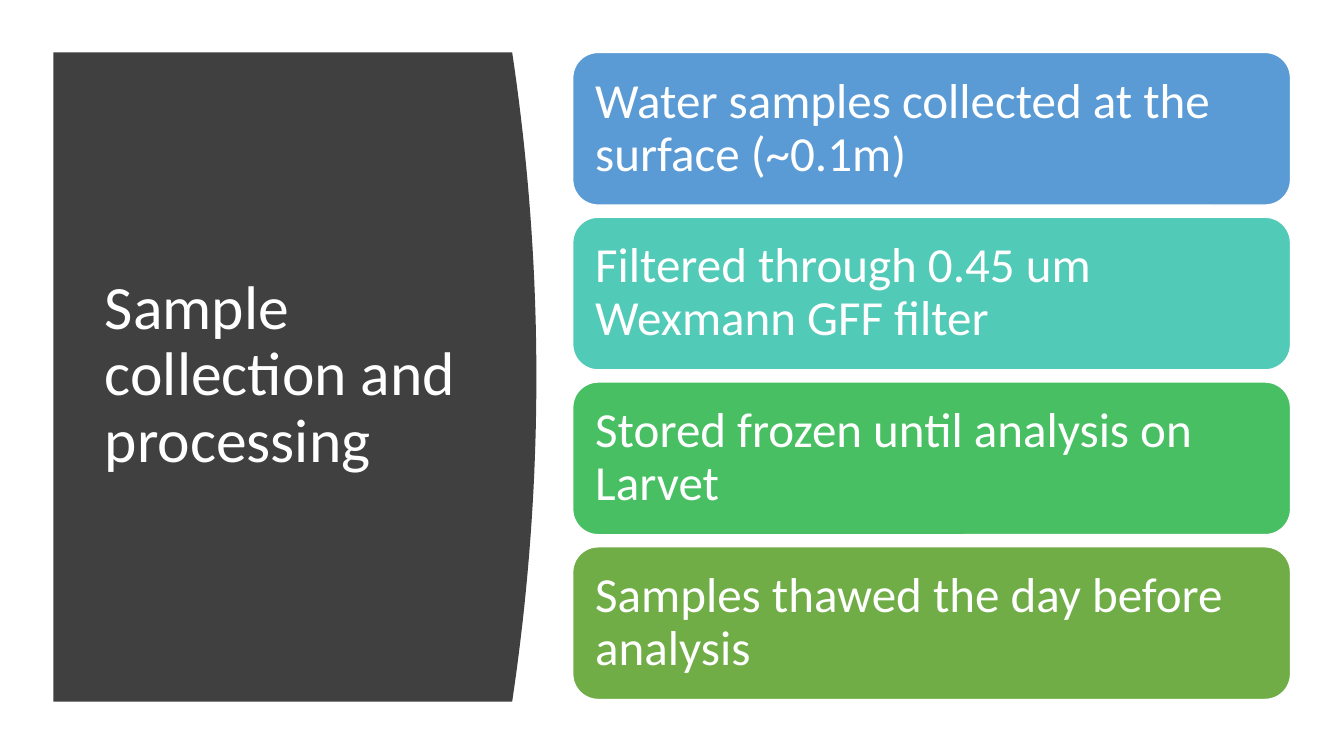
from pptx import Presentation
from pptx.dml.color import RGBColor
from pptx.enum.shapes import MSO_SHAPE
from pptx.enum.text import MSO_ANCHOR, MSO_AUTO_SIZE, PP_ALIGN
from pptx.util import Inches, Pt

ROUNDED = MSO_SHAPE.ROUNDED_RECTANGLE
MIDDLE = MSO_ANCHOR.MIDDLE
NO_AUTOFIT = MSO_AUTO_SIZE.NONE
LEFT = PP_ALIGN.LEFT

WHITE = RGBColor(0xFF, 0xFF, 0xFF)
CHARCOAL = RGBColor(0x40, 0x40, 0x40)
BLUE = RGBColor(0x5B, 0x9B, 0xD5)
TEAL = RGBColor(0x52, 0xCA, 0xB8)
GREEN = RGBColor(0x49, 0xBF, 0x64)
OLIVE = RGBColor(0x70, 0xAD, 0x47)

TITLE = "Sample collection and processing"
STEPS = [
    ("Water samples collected at the surface (~0.1m)", BLUE),
    ("Filtered through 0.45 um Wexmann GFF filter", TEAL),
    ("Stored frozen until analysis on Larvet", GREEN),
    ("Samples thawed the day before analysis", OLIVE),
]
TITLE_FONT = {"name": "Calibri", "size": Pt(44)}
STEP_FONT = {"name": "Calibri", "size": Pt(35)}


def write_text(shape, text, font, inset_x, inset_y):
    """Fill a shape with one left-aligned, vertically centred white paragraph."""
    frame = shape.text_frame
    frame.text = text
    frame_format = {
        "auto_size": NO_AUTOFIT, "word_wrap": True, "vertical_anchor": MIDDLE,
        "margin_left": Inches(inset_x), "margin_right": Inches(inset_x),
        "margin_top": Inches(inset_y), "margin_bottom": Inches(inset_y),
    }
    for name, value in frame_format.items():
        setattr(frame, name, value)
    para = frame.paragraphs[0]
    para.alignment = LEFT
    para.line_spacing = 0.9
    span = para.runs[0]
    for name, value in font.items():
        setattr(span.font, name, value)
    span.font.color.rgb = WHITE


def add_title_panel(page, left, top, width, height, bulge=0.24, segments=40):
    """Draw the dark panel with a bowed right edge and lay the title over it."""
    edge = []
    for step in range(segments + 1):
        offset = 2 * step / segments - 1
        edge.append((left + width - bulge * offset ** 2, top + height * step / segments))
    outline = [(left, top), *edge, (left, top + height)]
    points = [(Inches(x), Inches(y)) for x, y in outline]
    builder = page.shapes.build_freeform(*points[0])
    builder.add_line_segments(points[1:], close=True)
    panel = builder.convert_to_shape()
    panel.shadow.inherit = False
    panel.fill.solid()
    panel.fill.fore_color.rgb = CHARCOAL
    panel.line.fill.background()

    title = page.shapes.title
    title.left, title.top = Inches(left + 0.41), Inches(top + 0.59)
    title.width, title.height = Inches(width - 1.05), Inches(height - 1.2)
    write_text(title, TITLE, TITLE_FONT, 0.1, 0.05)
    panel.element.addnext(title.element)


def add_steps(page, left, top, width, height, gap=0.12):
    """Stack one coloured card per step, evenly filling the box."""
    card_height = (height - gap * (len(STEPS) - 1)) / len(STEPS)
    for index, (text, color) in enumerate(STEPS):
        card_top = top + index * (card_height + gap)
        card = page.shapes.add_shape(
            ROUNDED, Inches(left), Inches(card_top), Inches(width), Inches(card_height))
        card.shadow.inherit = False
        card.fill.solid()
        card.fill.fore_color.rgb = color
        card.line.color.rgb = WHITE
        card.line.width = Pt(1)
        write_text(card, text, STEP_FONT, 0.15, 0.15)


def main():
    """Build the slide and save the deck."""
    deck = Presentation()
    deck.slide_width, deck.slide_height = Inches(13.33), Inches(7.5)
    page = deck.slides.add_slide(deck.slide_layouts.get_by_name("Title Only"))
    add_title_panel(page, 0.53, 0.52, 4.79, 6.44)
    add_steps(page, 5.68, 0.52, 7.12, 6.42)
    deck.save("out.pptx")


if __name__ == "__main__":
    main()
